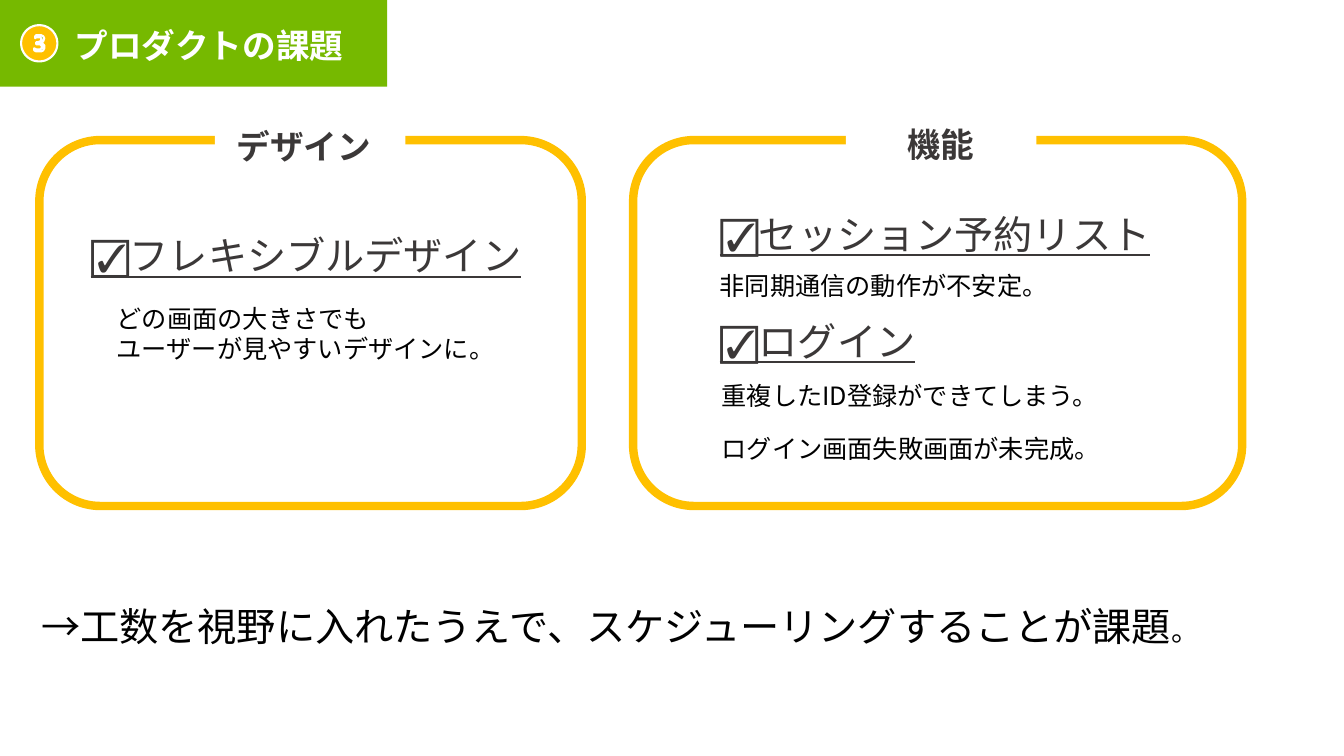
from math import cos, radians, sin

from lxml import etree
from pptx import Presentation
from pptx.dml.color import RGBColor
from pptx.enum.shapes import MSO_SHAPE
from pptx.oxml.ns import qn
from pptx.util import Emu, Pt

RECT = MSO_SHAPE.RECTANGLE
ROUNDED = MSO_SHAPE.ROUNDED_RECTANGLE
PX = 9144  # EMU per px, 100 px to the inch
FONT = "Noto Sans CJK JP"
COLORS = {
    "green": "76B900",
    "amber": "FFC000",
    "white": "FFFFFF",
    "gray": "3B3838",
    "black": "000000",
}
# Outline of the digit in the badge, in px on the slide
DIGIT_THREE = [
    (44, 48), (43, 50), (41, 51), (38, 51), (36, 51), (34, 50), (34, 48),
    (36, 49), (38, 49), (40, 49), (41, 48), (42, 47), (41, 45), (40, 44),
    (37, 44), (36, 44), (36, 42), (37, 42), (39, 41.5), (40, 41), (41, 40),
    (41, 38), (40, 37), (38, 37), (36, 37), (35, 38), (35, 36), (36, 35),
    (39, 35), (41, 35), (43, 36), (44, 38), (43, 41), (40, 43), (42, 43),
    (43, 44), (44, 45), (44, 46),
]


class SlideBuilder:
    def __init__(self, slide):
        self.shapes = slide.shapes

    def color(self, name):
        return RGBColor.from_string(COLORS[name])

    def style(self, shape, fill=None, line=None, weight=0):
        shape.shadow.inherit = False
        if fill:
            shape.fill.solid()
            shape.fill.fore_color.rgb = self.color(fill)
        else:
            shape.fill.background()
        if line:
            shape.line.color.rgb = self.color(line)
            shape.line.width = Pt(weight)
        else:
            shape.line.fill.background()

    def box(self, kind, left, top, width, height, **look):
        shape = self.shapes.add_shape(
            kind, *(Emu(v * PX) for v in (left, top, width, height)))
        self.style(shape, **look)

    def badge(self, cx, cy, radius, digit):
        """Circle with a digit cut out of it, drawn in tenths of a px."""
        circle = [(cx + radius * cos(radians(a)), cy + radius * sin(radians(a)))
                  for a in range(0, 360, 5)]
        ring, hole = ([(round(x * 10), round(y * 10)) for x, y in points]
                      for points in (circle, digit))
        outline = self.shapes.build_freeform(*ring[0], scale=PX / 10)
        outline.add_line_segments(ring[1:], close=True)
        outline.move_to(*hole[0])
        outline.add_line_segments(hole[1:], close=True)
        self.style(outline.convert_to_shape(), "amber", "white", 1.5)

    def text(self, left, top, width, height, lines, size, color="black",
             bold=False, underline=False, heading=False):
        """Each line is a string, or a list of (string, size) runs."""
        frame = self.shapes.add_textbox(
            *(Emu(v * PX) for v in (left, top, width, height))).text_frame
        frame.word_wrap = True
        for index, line in enumerate(lines):
            paragraph = frame.add_paragraph() if index else frame.paragraphs[0]
            font = paragraph.font
            font.name, font.bold, font.underline = FONT, bold, underline
            font.color.rgb = self.color(color)
            east_asian = etree.SubElement(font._element, qn("a:ea"))
            east_asian.set("typeface", FONT)
            if heading:
                paragraph.line_spacing = 0.9
                paragraph.space_before = Pt(10)
            if isinstance(line, str):
                font.size = Pt(size)
                paragraph.add_run().text = line
                continue
            for words, run_size in line:
                run = paragraph.add_run()
                run.text = words
                run.font.size = Pt(run_size)

    def panel(self, left, width, plate_left, title_left, title_top, title):
        """Rounded frame whose top edge is broken by its title."""
        self.box(ROUNDED, left, 139, width, 363, line="amber", weight=6)
        self.box(RECT, plate_left, 103, 189, 73, fill="white")
        self.text(title_left, title_top, 189, 62, [title], 24, "gray",
                  bold=True, heading=True)

    def check_item(self, left, top, width, label):
        self.text(left, top, width, 62, ["☑" + label], 28, "gray",
                  underline=True, heading=True)


def main():
    deck = Presentation()
    deck.slide_width, deck.slide_height = Emu(1333 * PX), Emu(750 * PX)
    page = SlideBuilder(deck.slides.add_slide(deck.slide_layouts[6]))

    # Section header
    page.box(RECT, 0, 0, 384, 86, fill="green")
    page.text(64, 20, 419, 50, ["プロダクトの課題"], 24, "white", bold=True)
    page.badge(39, 43, 18, DIGIT_THREE)

    # Design issues
    page.panel(39, 538, 213, 225, 124, "デザイン")
    page.check_item(80, 230, 455, "フレキシブルデザイン")
    page.text(106, 296, 392, 71,
              ["どの画面の大きさでも", "ユーザーが見やすいデザインに。"], 18)

    # Function issues
    page.panel(628, 604, 839, 890, 123, "機能")
    page.check_item(704, 209, 508, "セッション予約リスト")
    page.text(704, 263, 322, 40, ["非同期通信の動作が不安定。"], 18)
    page.check_item(704, 315, 240, "ログイン")
    page.text(706, 372, 377, 40, ["重複したID登録ができてしまう。"], 18)
    page.text(706, 425, 377, 40, ["ログイン画面失敗画面が未完成。"], 18)

    # Conclusion
    conclusion = [
        ("→工数を視野に入れたうえで、スケジューリングすることが課題", 28),
        ("。", 20),
    ]
    page.text(31, 593, 1193, 57, [conclusion], 28)

    deck.save("out.pptx")


if __name__ == "__main__":
    main()
